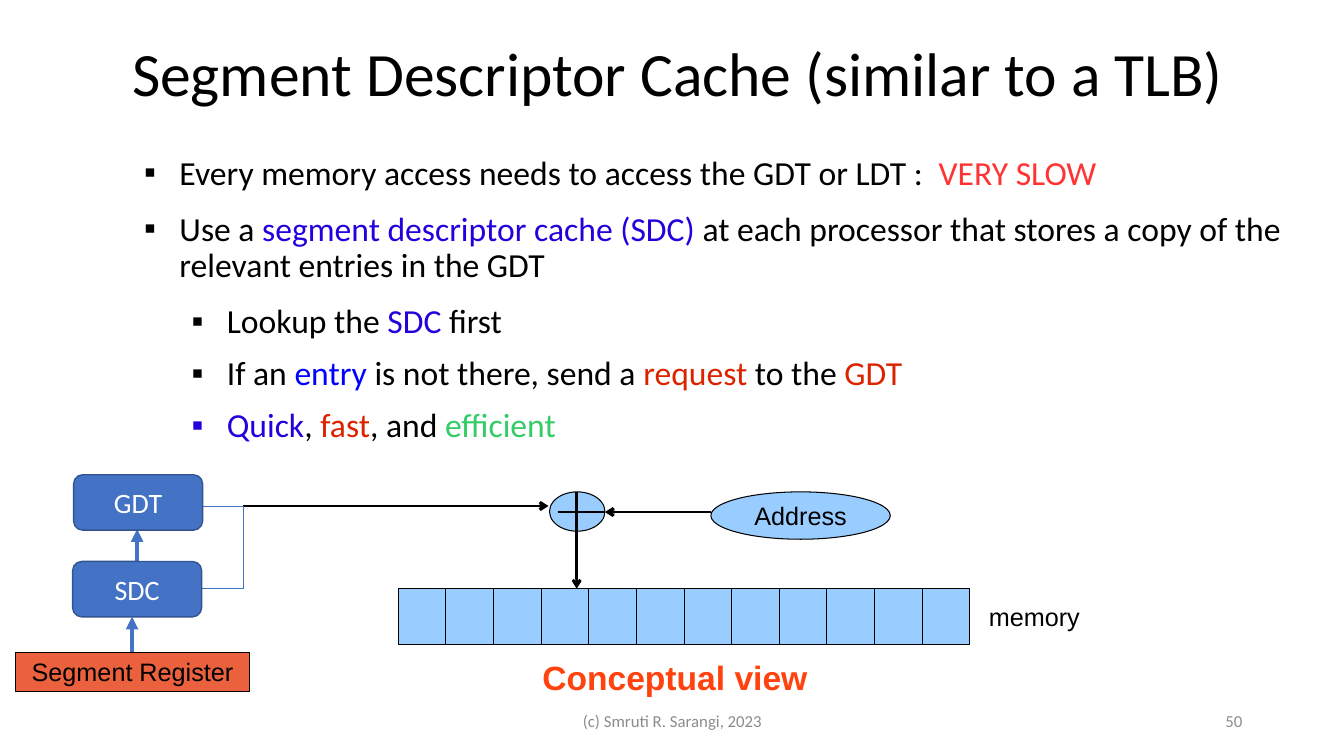
from dataclasses import dataclass

from lxml import etree
from pptx import Presentation
from pptx.dml.color import RGBColor
from pptx.enum.shapes import MSO_CONNECTOR, MSO_SHAPE
from pptx.enum.text import MSO_ANCHOR, PP_ALIGN
from pptx.oxml.ns import qn
from pptx.util import Inches, Pt

LEFT, CENTER, RIGHT = PP_ALIGN.LEFT, PP_ALIGN.CENTER, PP_ALIGN.RIGHT
TOP, MIDDLE = MSO_ANCHOR.TOP, MSO_ANCHOR.MIDDLE
RECT, OVAL, ROUNDED = MSO_SHAPE.RECTANGLE, MSO_SHAPE.OVAL, MSO_SHAPE.ROUNDED_RECTANGLE
STRAIGHT = MSO_CONNECTOR.STRAIGHT


@dataclass(frozen=True)
class Theme:
    black: str = "000000"
    white: str = "FFFFFF"
    gray: str = "8C8C8C"
    alert: str = "FF3333"
    indigo: str = "2300DC"
    blue: str = "0000FF"
    red: str = "DC2300"
    green: str = "33CC66"
    sky: str = "99CCFF"
    coral: str = "EB613D"
    orange: str = "FF420E"
    accent: str = "4472C4"
    accent_dark: str = "325491"
    body_font: str = "Calibri"
    diagram_font: str = "Arial"
    title_size: int = 44
    body_size: int = 24
    table_size: int = 20
    label_size: int = 18
    footer_size: int = 12


theme = Theme()


def add_run(paragraph, text, font, size, color, bold=False):
    run = paragraph.add_run()
    run.text = text
    run.font.name = font
    run.font.size = Pt(size)
    run.font.bold = bold
    run.font.color.rgb = RGBColor.from_string(color)


def add_block(kind, box, fill, outline, weight):
    block = slide.shapes.add_shape(kind, *map(Inches, box))
    block.shadow.inherit = False
    block.fill.solid()
    block.fill.fore_color.rgb = RGBColor.from_string(fill)
    block.line.color.rgb = RGBColor.from_string(outline)
    block.line.width = Pt(weight)
    block.text_frame.vertical_anchor = MIDDLE
    block.text_frame.word_wrap = True
    block.text_frame.paragraphs[0].alignment = CENTER
    return block.text_frame.paragraphs[0]


deck = Presentation()
deck.slide_width, deck.slide_height = Inches(13.33), Inches(7.5)
slide = deck.slides.add_slide(deck.slide_layouts[6])

title = slide.shapes.add_textbox(Inches(1.31), Inches(0.25), Inches(11.11), Inches(1.02)).text_frame
points = slide.shapes.add_textbox(Inches(1.31), Inches(1.55), Inches(11.62), Inches(3.73)).text_frame
for frame, anchor in [(title, MIDDLE), (points, TOP)]:
    frame.word_wrap = True
    frame.vertical_anchor = anchor
    frame.margin_left = frame.margin_right = frame.margin_top = frame.margin_bottom = 0

title.paragraphs[0].line_spacing = 0.9
add_run(title.paragraphs[0], "Segment Descriptor Cache (similar to a TLB)",
        theme.body_font, theme.title_size, theme.black)

bullets = [
    (0, [("Every memory access needs to access the GDT or LDT :  ", theme.black),
         ("VERY SLOW", theme.alert)]),
    (0, [("Use a ", theme.black), ("segment descriptor cache (SDC)", theme.indigo),
         (" at each processor that stores a copy of the relevant entries in the GDT", theme.black)]),
    (1, [("Lookup the ", theme.black), ("SDC", theme.indigo), (" first", theme.black)]),
    (1, [("If an ", theme.black), ("entry", theme.blue),
         (" is not there, send a ", theme.black), ("request", theme.red),
         (" to the ", theme.black), ("GDT", theme.red)]),
    (1, [("Quick", theme.indigo), (", ", theme.black), ("fast", theme.red),
         (", and ", theme.black), ("efficient", theme.green)]),
]
for index, (level, pieces) in enumerate(bullets):
    point = points.add_paragraph() if index else points.paragraphs[0]
    point.level = level
    layout = point._p.get_or_add_pPr()
    layout.set("marL", str(Inches(0.47 * (level + 1))))
    layout.set("indent", str(Inches(-0.35)))
    etree.SubElement(layout, qn("a:buFont"), typeface=theme.diagram_font)
    etree.SubElement(layout, qn("a:buChar"), char="▪")
    point.line_spacing = 0.9
    point.space_after = Pt(11.3 if level else 14.1)
    for text, color in pieces:
        add_run(point, text, theme.body_font, theme.body_size, color)

cell_count = 12
cell_width = 5.67 / cell_count
for cell in range(cell_count):
    add_block(RECT, (3.95 + cell * cell_width, 5.84, cell_width, 0.55), theme.sky, theme.black, 0)

register = add_block(RECT, (0.15, 6.47, 2.33, 0.39), theme.coral, theme.black, 0)
add_run(register, "Segment Register", theme.diagram_font, theme.label_size, theme.black)
address = add_block(OVAL, (7.05, 4.88, 1.78, 0.47), theme.sky, theme.black, 0)
add_run(address, "Address", theme.diagram_font, theme.label_size, theme.black)
add_block(OVAL, (5.45, 4.88, 0.55, 0.39), theme.sky, theme.black, 0)

wires = [
    (5.53, 5.08, 6, 5.08, theme.black, 0, None),
    (5.72, 4.88, 5.72, 5.25, theme.black, 0, None),
    (2.41, 5.02, 5.44, 5.02, theme.black, 0, "arrow"),
    (7.05, 5.08, 6, 5.08, theme.black, 0, "arrow"),
    (5.72, 5.25, 5.72, 5.84, theme.black, 0, "arrow"),
    (1.31, 6.47, 1.31, 6.12, theme.accent, 3, "triangle"),
    (1.36, 5.59, 1.36, 5.25, theme.accent, 3, "triangle"),
    (2, 5.84, 2.41, 5.84, theme.accent, 0.5, None),
    (2, 5.02, 2.41, 5.02, theme.accent, 0.5, None),
    (2.41, 5.84, 2.41, 5.02, theme.accent, 0.5, None),
]
for *ends, color, weight, head in wires:
    wire = slide.shapes.add_connector(STRAIGHT, *map(Inches, ends))
    wire.line.color.rgb = RGBColor.from_string(color)
    wire.line.width = Pt(weight)
    properties = wire.element.spPr
    if head:
        etree.SubElement(properties.find(qn("a:ln")), qn("a:tailEnd"), type=head)
    etree.SubElement(properties, qn("a:effectLst"))

for name, left, top in [("SDC", 0.72, 5.57), ("GDT", 0.73, 4.71)]:
    table = add_block(ROUNDED, (left, top, 1.28, 0.55), theme.accent, theme.accent_dark, 1)
    add_run(table, name, theme.body_font, theme.table_size, theme.white)

labels = [
    ("memory", (9.71, 5.92, 1.2, 0.39), TOP, LEFT,
     theme.diagram_font, theme.label_size, theme.black, False),
    ("Conceptual view", (5.28, 6.47, 2.89, 0.49), TOP, LEFT,
     theme.diagram_font, theme.body_size, theme.orange, True),
    ("(c) Smruti R. Sarangi, 2023", (4.42, 6.95, 4.5, 0.4), MIDDLE, CENTER,
     theme.body_font, theme.footer_size, theme.gray, False),
    ("50", (9.42, 6.95, 3, 0.4), MIDDLE, RIGHT,
     theme.body_font, theme.footer_size, theme.gray, False),
]
for text, box, anchor, alignment, font, size, color, bold in labels:
    label = slide.shapes.add_textbox(*map(Inches, box)).text_frame
    label.word_wrap = True
    label.vertical_anchor = anchor
    label.paragraphs[0].alignment = alignment
    add_run(label.paragraphs[0], text, font, size, color, bold)

deck.save("out.pptx")
